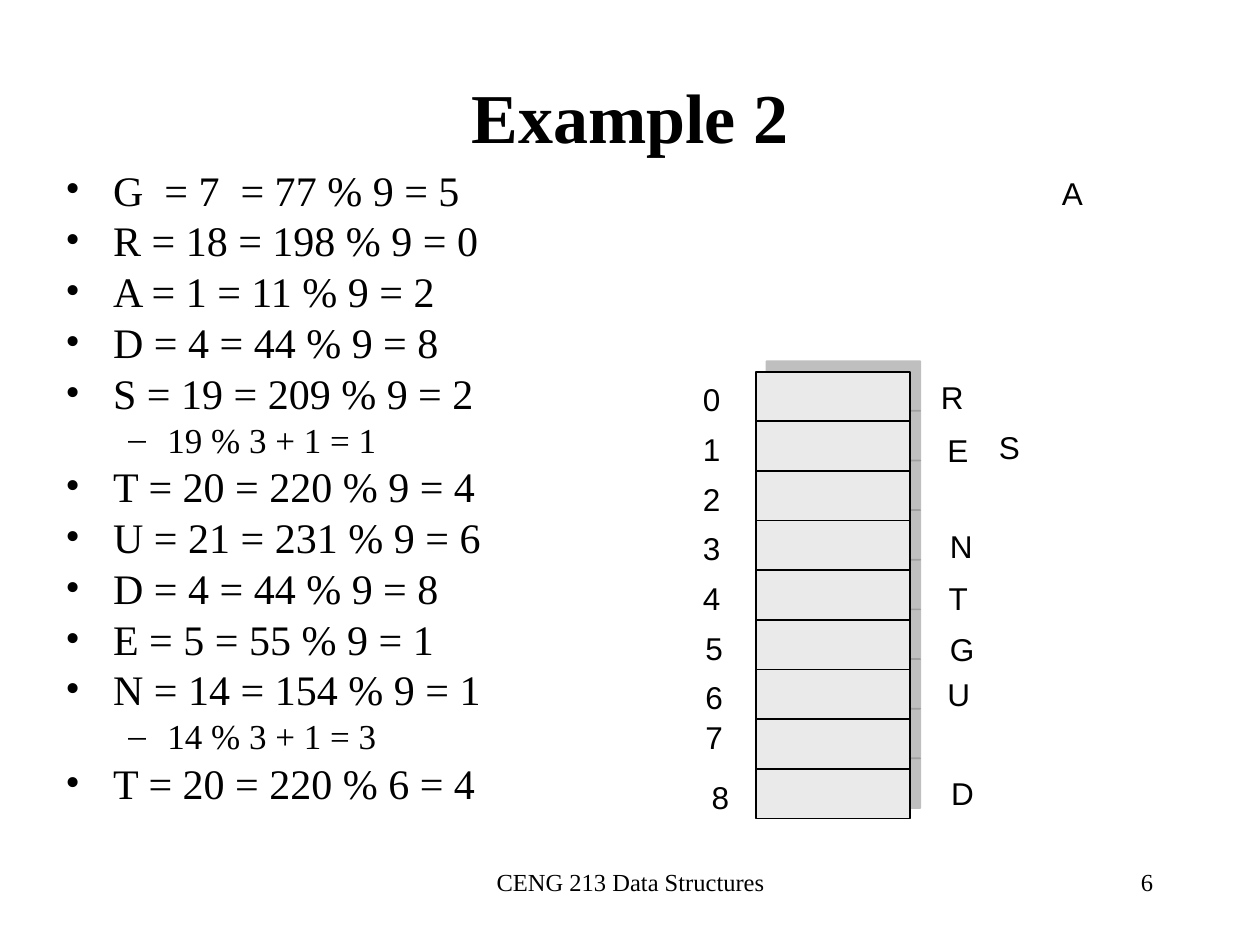
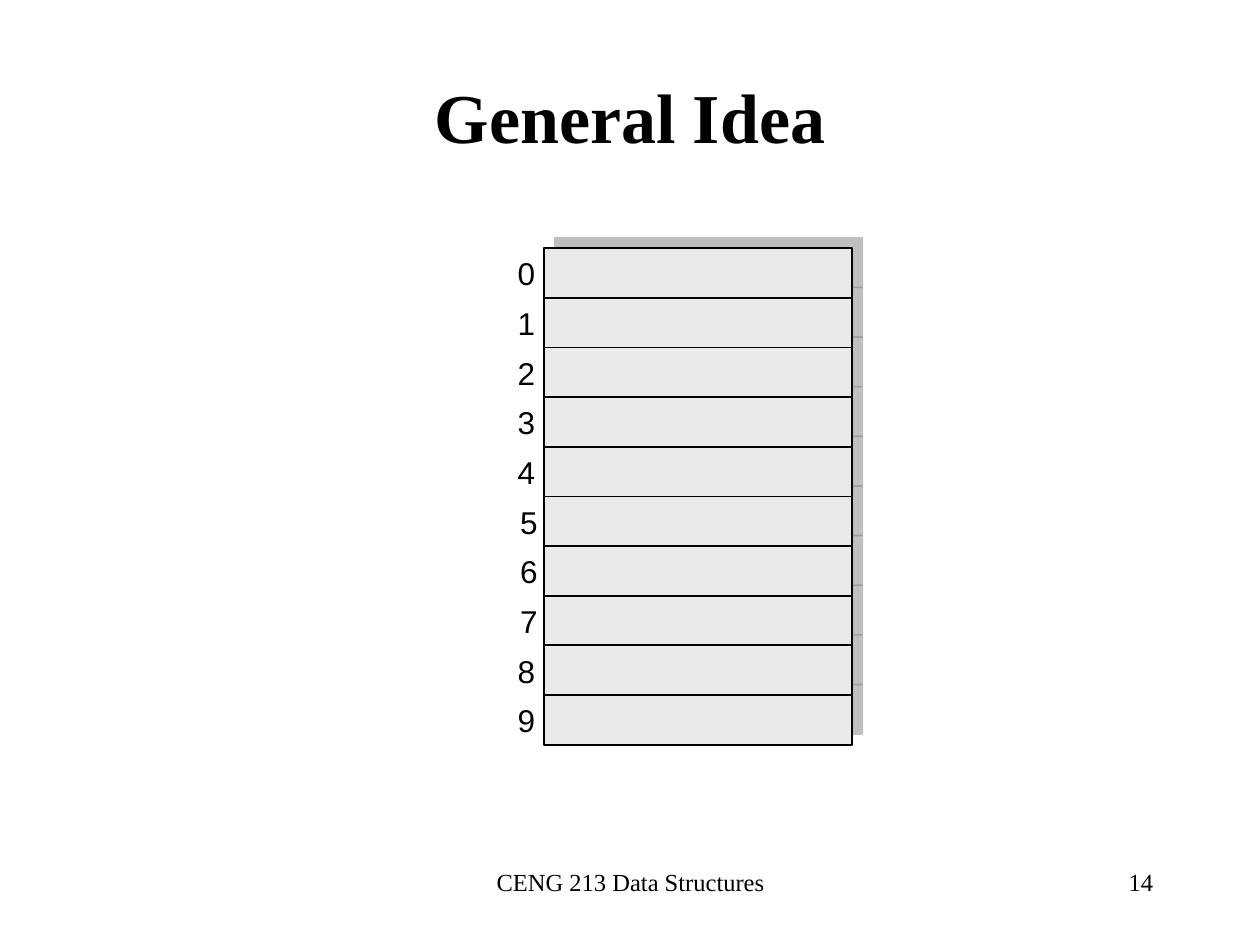
from lxml import etree
from pptx import Presentation
from pptx import util as u
from pptx.dml.color import RGBColor
from pptx.enum import shapes, text
from pptx.oxml import ns

BLACK = RGBColor(0x00, 0x00, 0x00)
CELL_GRAY = RGBColor(0xEA, 0xEA, 0xEA)
SHADOW_GRAY = RGBColor(0x80, 0x80, 0x80)
SERIF = "Times New Roman"
SANS = "Arial"
COURSE = "CENG 213 Data Structures"
CELL_TOTAL_HEIGHT = 3.94
CELL_HEIGHT = CELL_TOTAL_HEIGHT / 10

HASH_STEPS = [
    (0, "G  = 7  = 77 % 9 = 5"),
    (0, "R = 18 = 198 % 9 = 0"),
    (0, "A = 1 = 11 % 9 = 2"),
    (0, "D = 4 = 44 % 9 = 8"),
    (0, "S = 19 = 209 % 9 = 2"),
    (1, "19 % 3 + 1 = 1"),
    (0, "T = 20 = 220 % 9 = 4"),
    (0, "U = 21 = 231 % 9 = 6"),
    (0, "D = 4 = 44 % 9 = 8"),
    (0, "E = 5 = 55 % 9 = 1"),
    (0, "N = 14 = 154 % 9 = 1"),
    (1, "14 % 3 + 1 = 3"),
    (0, "T = 20 = 220 % 6 = 4"),
]
BULLET_LEVELS = [
    {"char": "•", "size": 24, "before": 6, "margin": 0.38, "hanging": 0.38},
    {"char": "–", "size": 20, "before": 5, "margin": 0.81, "hanging": 0.31},
]
STORED_KEYS = [
    ("N", 7.44, 4.13), ("G", 7.44, 4.95), ("R", 7.37, 2.95),
    ("A", 8.33, 1.33), ("T", 7.43, 4.55), ("S", 7.83, 3.35),
    ("D", 7.45, 6.09), ("U", 7.42, 5.31), ("E", 7.42, 3.37),
]


def add_run(paragraph, words, size, font=SERIF, bold=False):
    run = paragraph.add_run()
    run.text = words
    run.font.size = u.Pt(size)
    run.font.name = font
    run.font.bold = bold
    run.font.color.rgb = BLACK


def add_text_box(slide, left, top, width, height, wrap=True):
    box = slide.shapes.add_textbox(
        u.Inches(left), u.Inches(top), u.Inches(width), u.Inches(height))
    box.text_frame.word_wrap = wrap
    return box.text_frame


def add_line_of_text(slide, words, place, size, align, bold=False):
    frame = add_text_box(slide, *place)
    frame.paragraphs[0].alignment = align
    add_run(frame.paragraphs[0], words, size, bold=bold)
    return frame


def add_label(slide, words, left, top):
    frame = add_text_box(slide, left, top, 0.36, 0.4, wrap=False)
    add_run(frame.paragraphs[0], words, 18, SANS)


def set_bullet(paragraph, style):
    properties = paragraph._p.get_or_add_pPr()
    properties.set("marL", str(u.Inches(style["margin"])))
    properties.set("indent", str(-u.Inches(style["hanging"])))
    color = etree.SubElement(properties, ns.qn("a:buClr"))
    etree.SubElement(color, ns.qn("a:srgbClr"), val=str(BLACK))
    etree.SubElement(properties, ns.qn("a:buFont"), typeface=SERIF)
    etree.SubElement(properties, ns.qn("a:buChar"), char=style["char"])


def add_bullets(slide, items):
    frame = add_text_box(slide, 0.42, 1.33, 9.33, 5.58)
    for index, (level, words) in enumerate(items):
        paragraph = frame.add_paragraph() if index else frame.paragraphs[0]
        style = BULLET_LEVELS[level]
        paragraph.level = level
        paragraph.line_spacing = 0.8
        paragraph.space_before = u.Pt(style["before"])
        set_bullet(paragraph, style)
        add_run(paragraph, words, style["size"])


def add_offset_shadow(shape):
    shape.shadow.inherit = False
    effects = shape._element.spPr.find(ns.qn("a:effectLst"))
    shadow = etree.SubElement(
        effects, ns.qn("a:outerShdw"), blurRad="0", dist=str(u.Pt(8.5)),
        dir=str(315 * 60000), algn="ctr", rotWithShape="0")
    color = etree.SubElement(shadow, ns.qn("a:srgbClr"), val=str(SHADOW_GRAY))
    etree.SubElement(color, ns.qn("a:alpha"), val="50000")


def add_hash_table(slide, left, top, width, cell_count):
    for row in reversed(range(cell_count)):
        cell = slide.shapes.add_shape(
            shapes.MSO_SHAPE.RECTANGLE, u.Inches(left),
            u.Inches(top + row * CELL_HEIGHT),
            u.Inches(width), u.Inches(CELL_HEIGHT))
        cell.fill.solid()
        cell.fill.fore_color.rgb = CELL_GRAY
        cell.line.color.rgb = BLACK
        cell.line.width = u.Pt(1)
        add_offset_shadow(cell)


def add_indexes(slide, left, top, cell_count, nudges):
    for row in range(cell_count):
        right, down = nudges.get(row, (0, 0))
        add_label(slide, str(row), left + right, top + row * CELL_HEIGHT + down)


def add_slide(presentation, title, number):
    slide = presentation.slides.add_slide(presentation.slide_layouts[6])
    align = text.PP_ALIGN
    add_line_of_text(slide, COURSE, (3.42, 6.83, 3.17, 0.5), 14, align.CENTER)
    add_line_of_text(slide, str(number), (7.17, 6.83, 2.08, 0.5), 14, align.RIGHT)
    heading = add_line_of_text(
        slide, title, (0.75, 0.5, 8.5, 0.83), 40, align.CENTER, bold=True)
    heading.vertical_anchor = text.MSO_ANCHOR.MIDDLE
    return slide


def main():
    presentation = Presentation()
    presentation.slide_width = u.Inches(10)
    presentation.slide_height = u.Inches(7.5)

    example = add_slide(presentation, "Example 2", 6)
    add_bullets(example, HASH_STEPS)
    add_hash_table(example, 6, 2.95, 1.22, 9)
    add_indexes(example, 5.48, 2.97, 9, {
        5: (0.02, 0), 6: (0.02, 0), 7: (0.02, -0.08), 8: (0.07, 0)})
    for key, left, top in STORED_KEYS:
        add_label(example, key, left, top)

    idea = add_slide(presentation, "General Idea", 14)
    add_hash_table(idea, 4.32, 1.97, 2.44, 10)
    add_indexes(idea, 4.01, 1.97, 10, {row: (0.02, 0) for row in (5, 6, 7)})

    presentation.save("out.pptx")


if __name__ == "__main__":
    main()
